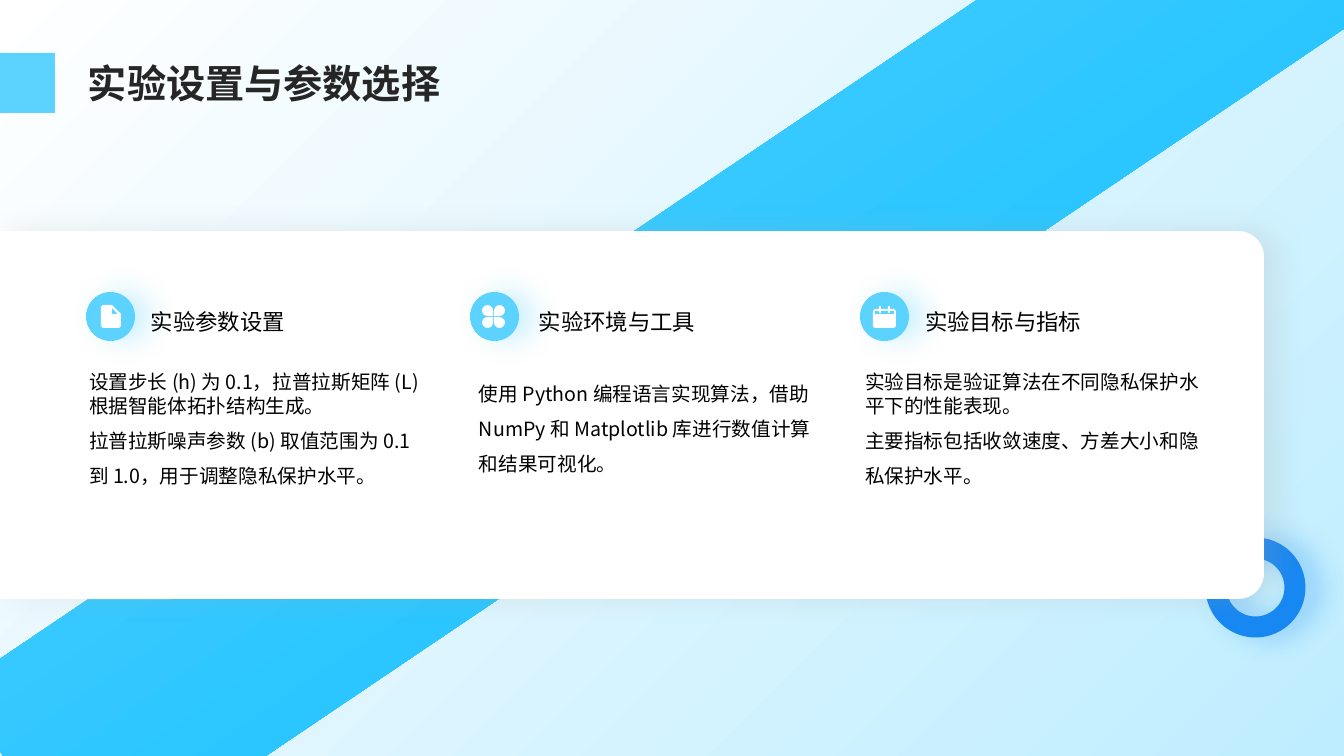
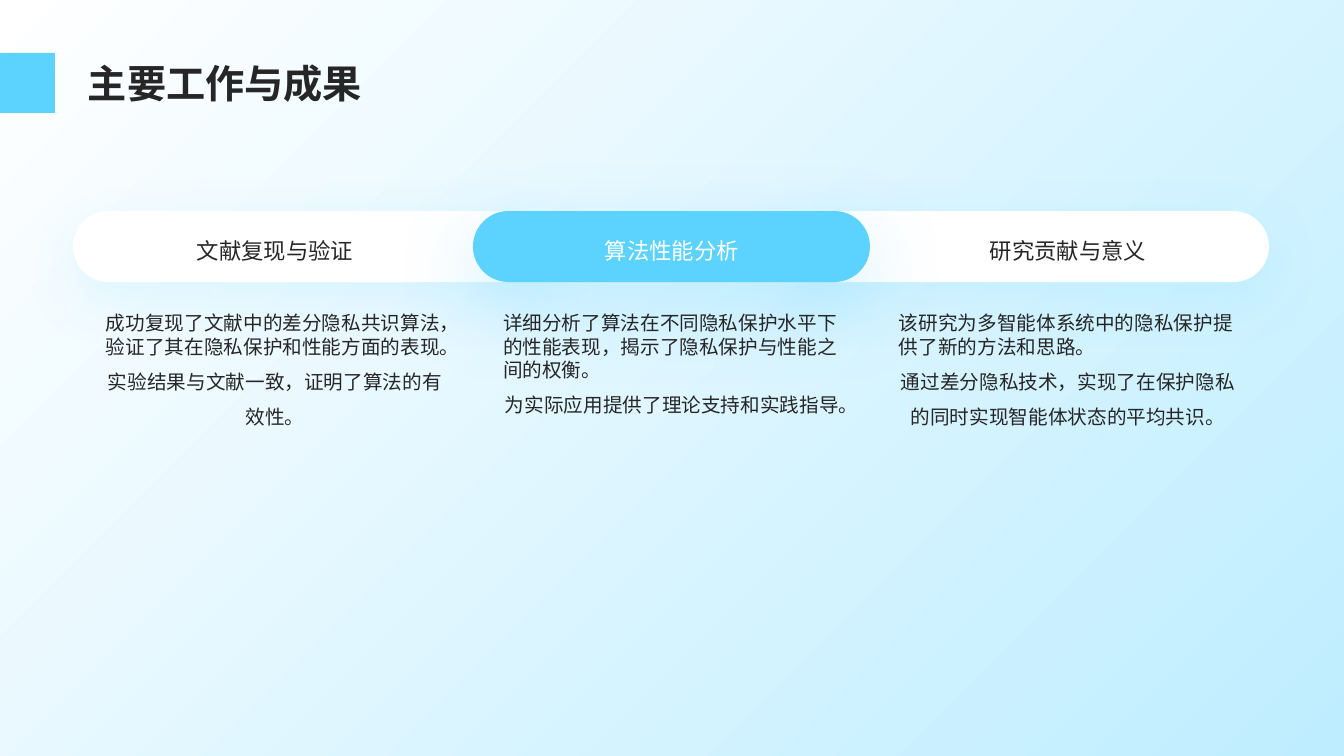
import math
from dataclasses import dataclass
from typing import Any, Optional

import lxml.etree
import pptx
import pptx.dml.color
import pptx.enum.shapes
import pptx.enum.text
import pptx.oxml.ns
import pptx.util

EMU_PER_PX = 914400 / 100.8
PRESET = pptx.enum.shapes.MSO_SHAPE
ALIGN = pptx.enum.text.PP_ALIGN
ANCHOR = pptx.enum.text.MSO_ANCHOR
qn = pptx.oxml.ns.qn


@dataclass(frozen=True)
class Theme:
    font: str = "Noto Sans CJK SC"
    sky: str = "5CD3FF"
    deep_sky: str = "05BCFF"
    pale_sky: str = "BEEDFF"
    ring: str = "1787F2"
    white: str = "FFFFFF"
    black: str = "000000"
    ink: str = "262626"
    grey: str = "A6A6A6"
    title_size: int = 28
    heading_size: int = 16
    body_size: int = 14
    ring_width: int = 15


THEME = Theme()


@dataclass(frozen=True)
class Box:
    left: int
    top: int
    width: int
    height: int


@dataclass(frozen=True)
class Shadow:
    colour: str
    alpha: int  # percent
    blur: int  # points
    distance: int  # points
    angle: int  # degrees, clockwise


@dataclass(frozen=True)
class Style:
    size: int
    colour: str
    spacing: float
    bold: bool = False
    align: Any = ALIGN.LEFT
    anchor: Any = ANCHOR.TOP


@dataclass(frozen=True)
class Topic:
    """A column of the experiment card."""
    icon: str
    badge_left: int
    heading_left: int
    body_left: int
    heading: str
    body: tuple[str, ...]


@dataclass(frozen=True)
class Result:
    """A column below the pill bar."""
    left: int
    heading: str
    colour: str
    body: tuple[str, ...]


TOPICS = (
    Topic("document", 86, 151, 89, "实验参数设置",
          ("设置步长 (h) 为 0.1，拉普拉斯矩阵 (L) 根据智能体拓扑结构生成。",
           "拉普拉斯噪声参数 (b) 取值范围为 0.1 到 1.0，用于调整隐私保护水平。")),
    Topic("clover", 470, 539, 479, "实验环境与工具",
          ("使用 Python 编程语言实现算法，借助 NumPy 和 Matplotlib 库进行数值计算和结果可视化。",)),
    Topic("calendar", 860, 925, 865, "实验目标与指标",
          ("实验目标是验证算法在不同隐私保护水平下的性能表现。",
           "主要指标包括收敛速度、方差大小和隐私保护水平。")),
)

RESULTS = (
    Result(106, "文献复现与验证", THEME.ink,
           ("成功复现了文献中的差分隐私共识算法，验证了其在隐私保护和性能方面的表现。",
            "实验结果与文献一致，证明了算法的有效性。")),
    Result(503, "算法性能分析", THEME.white,
           ("详细分析了算法在不同隐私保护水平下的性能表现，揭示了隐私保护与性能之间的权衡。",
            "为实际应用提供了理论支持和实践指导。")),
    Result(899, "研究贡献与意义", THEME.ink,
           ("该研究为多智能体系统中的隐私保护提供了新的方法和思路。",
            "通过差分隐私技术，实现了在保护隐私的同时实现智能体状态的平均共识。")),
)


def px(length: float) -> int:
    return round(length * EMU_PER_PX)


def rgb(colour: str) -> pptx.dml.color.RGBColor:
    return pptx.dml.color.RGBColor.from_string(colour)


def cast_shadow(shape: Any, shadow: Shadow) -> None:
    effects = shape._element.spPr.find(qn("a:effectLst"))
    outer = lxml.etree.SubElement(effects, qn("a:outerShdw"), {
        "blurRad": str(pptx.util.Pt(shadow.blur)),
        "dist": str(pptx.util.Pt(shadow.distance)),
        "dir": str(shadow.angle * 60000),
        "algn": "ctr",
        "rotWithShape": "0",
    })
    colour = lxml.etree.SubElement(outer, qn("a:srgbClr"), val=shadow.colour)
    lxml.etree.SubElement(colour, qn("a:alpha"), val=str(shadow.alpha * 1000))


def add_preset(slide: Any, preset: Any, box: Box, fill: Optional[str] = None,
               adjust: tuple[float, ...] = (), rotation: int = 0,
               shadow: Optional[Shadow] = None) -> Any:
    shape = slide.shapes.add_shape(preset, px(box.left), px(box.top),
                                   px(box.width), px(box.height))
    for index, value in enumerate(adjust):
        shape.adjustments[index] = value
    shape.rotation = rotation
    shape.line.fill.background()
    if fill:
        shape.fill.solid()
        shape.fill.fore_color.rgb = rgb(fill)
    else:
        shape.fill.background()
    shape.shadow.inherit = False
    if shadow:
        cast_shadow(shape, shadow)
    return shape


def shade(shape: Any, colours: tuple[str, str], angle: int) -> None:
    """Linear gradient; the angle runs counter-clockwise."""
    shape.fill.gradient()
    shape.fill.gradient_angle = angle
    for position, (stop, colour) in enumerate(zip(shape.fill.gradient_stops, colours)):
        stop.color.rgb = rgb(colour)
        stop.position = position


def add_text(slide: Any, box: Box, paragraphs: tuple[str, ...], style: Style) -> None:
    frame = slide.shapes.add_textbox(px(box.left), px(box.top),
                                     px(box.width), px(box.height)).text_frame
    frame.word_wrap = True
    frame.vertical_anchor = style.anchor
    frame.margin_left = frame.margin_right = frame.margin_top = frame.margin_bottom = 0
    for index, wording in enumerate(paragraphs):
        paragraph = frame.add_paragraph() if index else frame.paragraphs[0]
        # Lead paragraphs are set tight and left; the last one takes the style
        last = index == len(paragraphs) - 1
        paragraph.alignment = style.align if last else ALIGN.LEFT
        paragraph.line_spacing = style.spacing if last else 1.0
        run = paragraph.add_run()
        run.text = wording
        run.font.size = pptx.util.Pt(style.size)
        run.font.bold = style.bold
        run.font.color.rgb = rgb(style.colour)
        run.font.name = THEME.font
        lxml.etree.SubElement(run._r.get_or_add_rPr(), qn("a:ea"), typeface=THEME.font)


# Icons
def draw_document(slide: Any, left: int, top: int) -> None:
    width, height, radius, fold = 20, 23, 3, 11

    def corner(cx: int, cy: int, start: int) -> list[tuple[float, float]]:
        angles = (math.radians(start + step) for step in range(0, 91, 15))
        return [(cx + radius * math.cos(a), cy + radius * math.sin(a)) for a in angles]

    sheet = [(fold, 0), (width, 9),
             *corner(width - radius, height - radius, 0),
             *corner(radius, height - radius, 90),
             *corner(radius, radius, 180)]
    crease = [(fold, 3), (fold, 9), (17, 9)]
    outlines = [[(px(left + x), px(top + y)) for x, y in part] for part in (sheet, crease)]
    builder = slide.shapes.build_freeform(*outlines[0][0], scale=1.0)
    builder.add_line_segments(outlines[0][1:], close=True)
    builder.move_to(*outlines[1][0])
    builder.add_line_segments(outlines[1][1:], close=True)
    page = builder.convert_to_shape()
    page.fill.solid()
    page.fill.fore_color.rgb = rgb(THEME.white)
    page.line.fill.background()
    page.shadow.inherit = False


def draw_clover(slide: Any, left: int, top: int) -> None:
    petal, pitch = 11, 12
    for column, row, rotation in ((0, 0, 90), (1, 0, 180), (1, 1, 270), (0, 1, 0)):
        add_preset(slide, PRESET.TEAR,
                   Box(left + column * pitch, top + row * pitch, petal, petal),
                   THEME.white, rotation=rotation)


def draw_calendar(slide: Any, left: int, top: int) -> None:
    add_preset(slide, PRESET.ROUNDED_RECTANGLE, Box(left, top + 3, 23, 19),
               THEME.white, (0.15,))
    add_preset(slide, PRESET.RECTANGLE, Box(left + 2, top + 5, 19, 3), THEME.sky)
    for post in (6, 15):
        add_preset(slide, PRESET.ROUNDED_RECTANGLE, Box(left + post, top, 2, 7),
                   THEME.white, (0.5,))


ICONS = {"document": (draw_document, 15, 13),
         "clover": (draw_clover, 12, 13),
         "calendar": (draw_calendar, 13, 14)}


# Parts shared by both slides
def add_background(slide: Any) -> None:
    backdrop = add_preset(slide, PRESET.FLOWCHART_PROCESS, Box(0, 0, 1344, 756))
    shade(backdrop, (THEME.pale_sky, THEME.white), 135)


def add_title(slide: Any, title: str) -> None:
    add_text(slide, Box(88, 55, 1198, 51), (title,),
             Style(THEME.title_size, THEME.ink, 1.1, bold=True, anchor=ANCHOR.MIDDLE))
    add_preset(slide, PRESET.RECTANGLE, Box(0, 53, 55, 60), THEME.sky)


def build_experiment(slide: Any) -> None:
    add_background(slide)
    # Diagonal band, ring and card
    band = add_preset(slide, PRESET.ROUNDED_RECTANGLE, Box(-113, 229, 1571, 229),
                      adjust=(0.04,), rotation=326)
    shade(band, (THEME.sky, THEME.deep_sky), 270)
    ring = add_preset(slide, PRESET.OVAL, Box(1216, 548, 79, 79),
                      shadow=Shadow(THEME.ring, 32, 20, 10, 0))
    ring.line.color.rgb = rgb(THEME.ring)
    ring.line.width = pptx.util.Pt(THEME.ring_width)
    add_preset(slide, PRESET.ROUND_2_SAME_RECTANGLE, Box(448, -217, 368, 1264),
               THEME.white, (0.07, 0), 90, Shadow(THEME.grey, 20, 20, 10, 0))

    # Topic columns
    badge_top = 292
    for topic in TOPICS:
        add_preset(slide, PRESET.OVAL, Box(topic.badge_left, badge_top, 49, 49),
                   THEME.sky, shadow=Shadow(THEME.sky, 32, 20, 10, 0))
        draw_icon, dx, dy = ICONS[topic.icon]
        draw_icon(slide, topic.badge_left + dx, badge_top + dy)
        add_text(slide, Box(topic.heading_left, 278, 278, 80), (topic.heading,),
                 Style(THEME.heading_size, THEME.black, 1.3, anchor=ANCHOR.MIDDLE))
        add_text(slide, Box(topic.body_left, 370, 338, 178), topic.body,
                 Style(THEME.body_size, THEME.black, 1.5))
    add_title(slide, "实验设置与参数选择")


def build_results(slide: Any) -> None:
    add_background(slide)
    # Pill bar, with the middle pill on top
    soft = Shadow(THEME.sky, 15, 40, 12, 90)
    strong = Shadow(THEME.sky, 30, 60, 20, 90)
    for left, width, fill, shadow in ((793, 476, THEME.white, soft),
                                      (73, 476, THEME.white, soft),
                                      (473, 397, THEME.sky, strong)):
        add_preset(slide, PRESET.ROUNDED_RECTANGLE, Box(left, 211, width, 71),
                   fill, (0.5,), shadow=shadow)

    # Result columns
    for result in RESULTS:
        add_text(slide, Box(result.left, 219, 338, 55), (result.heading,),
                 Style(THEME.heading_size, result.colour, 1.3,
                       align=ALIGN.CENTER, anchor=ANCHOR.MIDDLE))
        add_text(slide, Box(result.left, 311, 338, 278), result.body,
                 Style(THEME.body_size, THEME.ink, 1.5, align=ALIGN.CENTER))
    add_title(slide, "主要工作与成果")


def main() -> None:
    deck = pptx.Presentation()
    deck.slide_width, deck.slide_height = px(1344), px(756)
    blank = deck.slide_layouts[6]
    for build in (build_experiment, build_results):
        build(deck.slides.add_slide(blank))
    deck.save("out.pptx")


if __name__ == "__main__":
    main()
